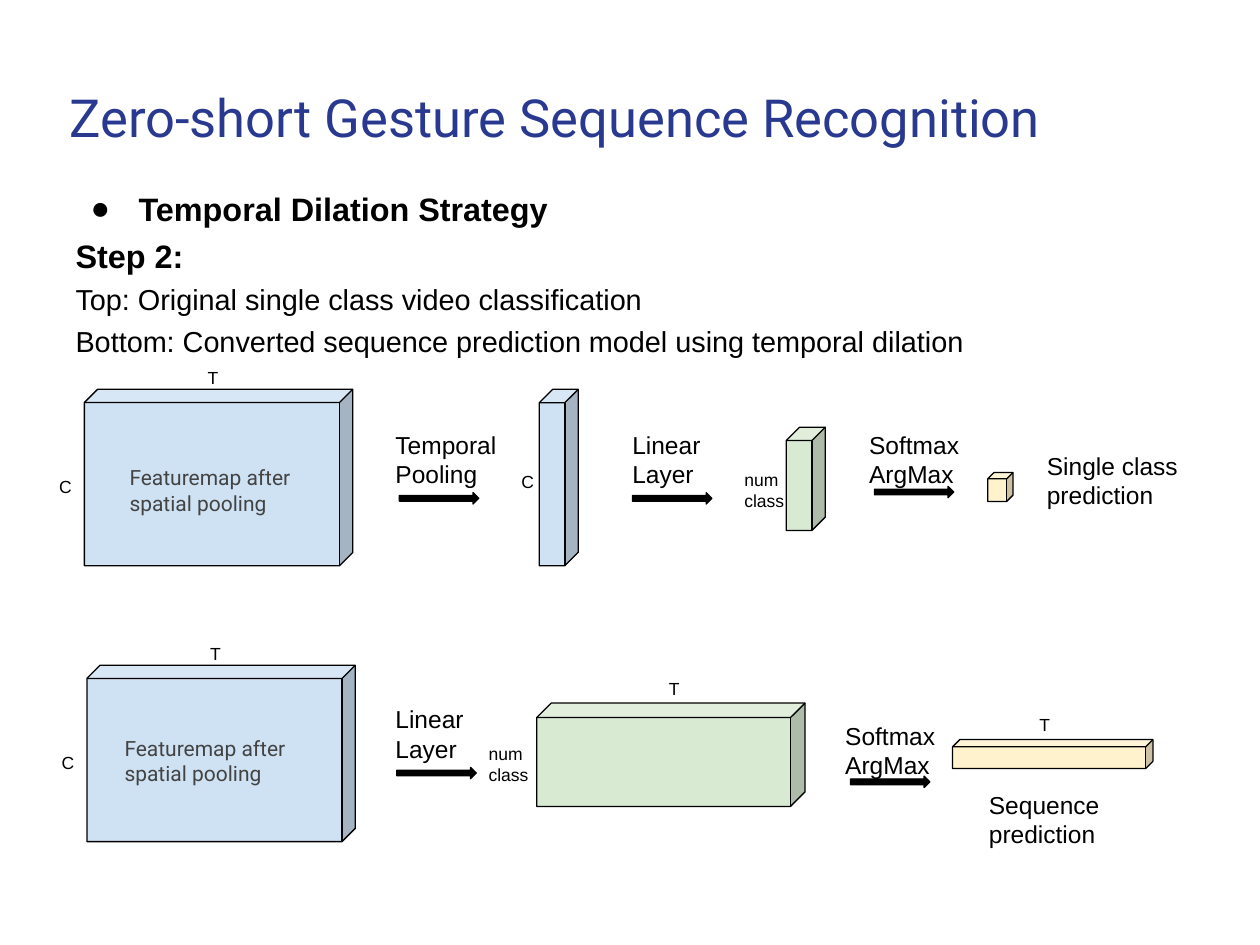
"""Build the temporal dilation slide on gesture sequence recognition."""
from dataclasses import dataclass

from lxml.etree import SubElement
from pptx import Presentation
from pptx.dml.color import RGBColor
from pptx.enum.shapes import MSO_SHAPE as Shape
from pptx.enum.text import MSO_ANCHOR as Anchor, MSO_AUTO_SIZE as AutoSize, PP_ALIGN as Align
from pptx.oxml.ns import qn
from pptx.util import Inches, Pt


@dataclass(frozen=True)
class Theme:
    heading_font: str = "Roboto"
    text_font: str = "Arial"
    navy: str = "2A3990"
    black: str = "000000"
    gray: str = "434343"
    blue: str = "CFE2F3"
    green: str = "D9EAD3"
    yellow: str = "FFF2CC"
    title: float = 30
    lead: float = 18.5
    detail: float = 16.5
    step: float = 14
    caption: float = 12
    axis: float = 10
    outline: float = 0.75


THEME = Theme()

TITLE = "Zero-short Gesture Sequence Recognition"
BODY = [
    ("Temporal Dilation Strategy", THEME.lead, True, "●"),
    ("Step 2:", THEME.lead, True, None),
    ("Top: Original single class video classification\n"
     "Bottom: Converted sequence prediction model using temporal dilation", THEME.detail, False, None),
]

CUBES = [
    (0.67, 3.09, 2.13, 1.4, 0.075, THEME.blue),
    (4.28, 3.09, 0.31, 1.4, 0.344, THEME.blue),
    (6.24, 3.39, 0.31, 0.82, 0.344, THEME.green),
    (7.84, 3.75, 0.2, 0.23, 0.25, THEME.yellow),
    (0.69, 5.28, 2.13, 1.4, 0.075, THEME.blue),
    (4.26, 5.58, 2.13, 0.82, 0.141, THEME.green),
    (7.56, 5.87, 1.59, 0.23, 0.25, THEME.yellow),
]

ARROW_SIZE = (0.63, 0.09)
ARROWS = [(3.17, 3.91), (5.02, 3.91), (6.94, 3.86), (3.15, 6.09), (6.75, 6.16)]

LABEL_STYLES = {
    "axis": (0.41, 0.23, THEME.axis, THEME.text_font, THEME.black),
    "classes": (0.81, 0.23, THEME.axis, THEME.text_font, THEME.black),
    "step": (1, 0.39, THEME.step, THEME.text_font, THEME.black),
    "result": (1.42, 0.39, THEME.step, THEME.text_font, THEME.black),
    "feature": (1.77, 0.4, THEME.caption, THEME.heading_font, THEME.gray),
}
LABELS = [
    ("axis", "T", [(1.55, 2.81), (1.57, 5), (5.21, 5.28), (8.15, 5.57)]),
    ("axis", "C", [(0.37, 3.68), (4.04, 3.64), (0.39, 5.87)]),
    ("classes", "num class", [(5.81, 3.62), (3.78, 5.8)]),
    ("step", "Temporal Pooling", [(3.04, 3.31)]),
    ("step", "Linear Layer", [(4.92, 3.31), (3.04, 5.49)]),
    ("step", "Softmax\nArgMax", [(6.8, 3.31), (6.61, 5.62)]),
    ("result", "Single class prediction", [(8.21, 3.48)]),
    ("result", "Sequence prediction", [(7.75, 6.17)]),
    ("feature", "Featuremap after spatial pooling", [(0.93, 3.59), (0.89, 5.74)]),
]


def place(shape, left, top, width, height):
    shape.left, shape.top = Inches(left), Inches(top)
    shape.width, shape.height = Inches(width), Inches(height)


def set_frame(frame, side, edge, anchor=Anchor.TOP):
    frame.word_wrap = True
    frame.auto_size = AutoSize.NONE
    frame.vertical_anchor = anchor
    frame.margin_left = frame.margin_right = Inches(side)
    frame.margin_top = frame.margin_bottom = Inches(edge)


def write(para, text, size, font, color, bold=False):
    para.text = text
    para.alignment = Align.LEFT
    para.font.size = Pt(size)
    para.font.name = font
    para.font.bold = bold
    para.font.color.rgb = RGBColor.from_string(color)


def set_bullet(para, bullet):
    props = para._p.get_or_add_pPr()
    props.set("marL", str(Inches(0.5 if bullet else 0)))
    props.set("indent", str(Inches(-0.38 if bullet else 0)))
    if bullet:
        SubElement(props, qn("a:buChar")).set("char", bullet)
    else:
        SubElement(props, qn("a:buNone"))


def fill_placeholders(slide):
    title, body = slide.placeholders
    place(title, 0.5, 0.3, 8.17, 1.25)
    set_frame(title.text_frame, 0.05, 0.05, Anchor.MIDDLE)
    write(title.text_frame.paragraphs[0], TITLE, THEME.title, THEME.heading_font, THEME.navy)

    place(body, 0.5, 1.39, 8.17, 4.95)
    frame = body.text_frame
    set_frame(frame, 0.1, 0.05)
    for index, (text, size, bold, bullet) in enumerate(BODY):
        para = frame.add_paragraph() if index else frame.paragraphs[0]
        write(para, text, size, THEME.text_font, THEME.black, bold)
        para.line_spacing = 1.2
        para.space_before = Pt(0)
        set_bullet(para, bullet)


def add_solid(slide, kind, left, top, width, height, color):
    shape = slide.shapes.add_shape(kind, Inches(left), Inches(top), Inches(width), Inches(height))
    shape.shadow.inherit = False
    shape.fill.solid()
    shape.fill.fore_color.rgb = RGBColor.from_string(color)
    shape.line.color.rgb = RGBColor.from_string(THEME.black)
    shape.line.width = Pt(THEME.outline)
    return shape


def add_label(slide, style, text, left, top):
    width, height, size, font, color = LABEL_STYLES[style]
    box = slide.shapes.add_textbox(Inches(left), Inches(top), Inches(width), Inches(height))
    set_frame(box.text_frame, 0.1, 0.1)
    write(box.text_frame.paragraphs[0], text, size, font, color)


def main():
    deck = Presentation()
    deck.slide_width, deck.slide_height = Inches(10), Inches(7.5)
    slide = deck.slides.add_slide(deck.slide_layouts[1])
    fill_placeholders(slide)
    for left, top, width, height, depth, color in CUBES:
        cube = add_solid(slide, Shape.CUBE, left, top, width, height, color)
        cube.adjustments[0] = depth
    for left, top in ARROWS:
        add_solid(slide, Shape.RIGHT_ARROW, left, top, *ARROW_SIZE, THEME.black)
    for style, text, spots in LABELS:
        for left, top in spots:
            add_label(slide, style, text, left, top)
    deck.save("out.pptx")


if __name__ == "__main__":
    main()
